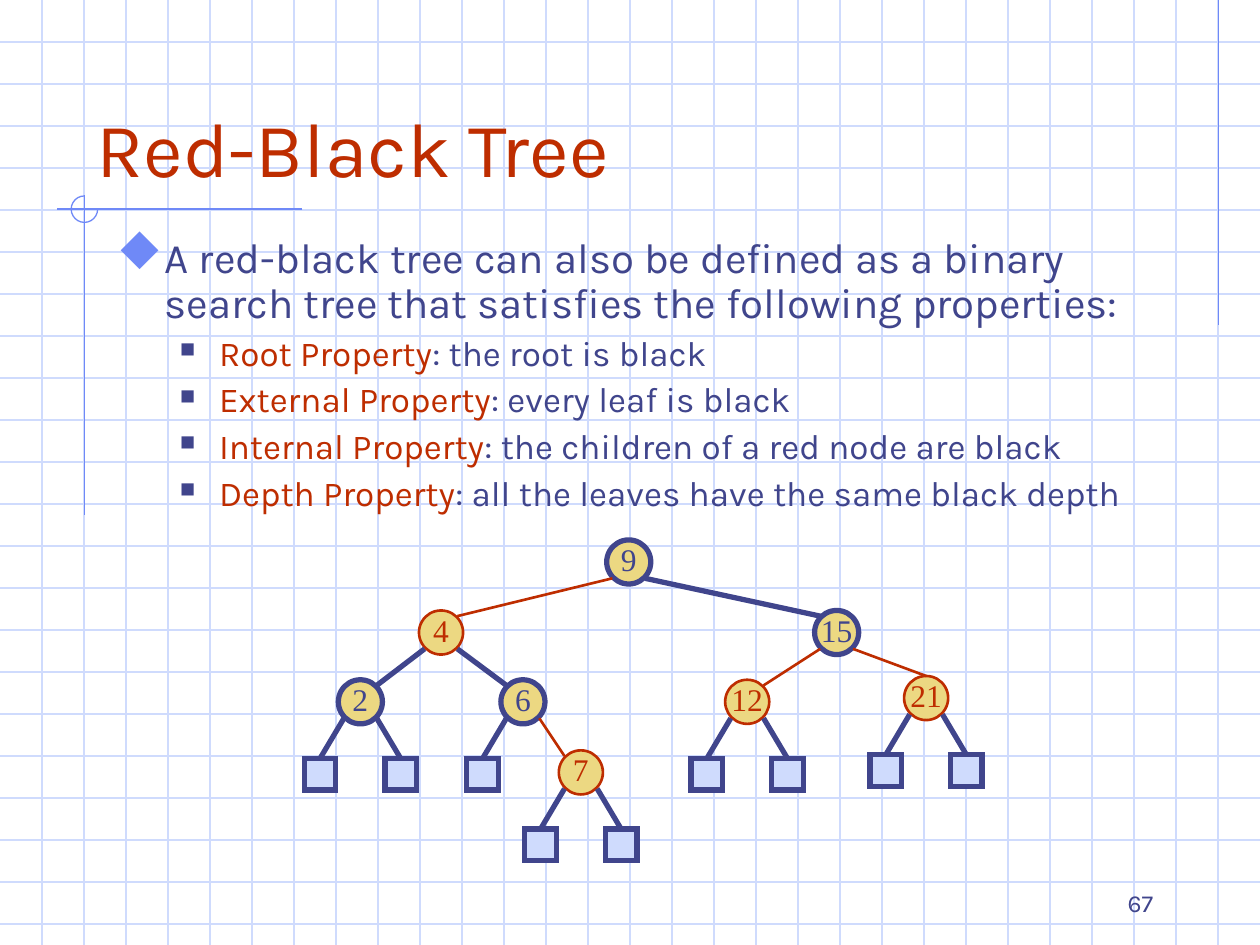
import dataclasses
import typing

import pptx
import pptx.dml.color
import pptx.enum.shapes
import pptx.enum.text
import pptx.oxml.ns
import pptx.util
from pptx.util import Inches

RGBColor = pptx.dml.color.RGBColor
Anchor = pptx.enum.text.MSO_ANCHOR
Align = pptx.enum.text.PP_ALIGN
Preset = pptx.enum.shapes.MSO_SHAPE
qn = pptx.oxml.ns.qn

INK = RGBColor(0x40, 0x45, 0x8C)
RED = RGBColor(0xBE, 0x2D, 0x00)
BLUE = RGBColor(0x6F, 0x89, 0xF7)
PALE = RGBColor(0xCF, 0xDB, 0xFD)
GOLD = RGBColor(0xEC, 0xD8, 0x82)

SLIDE_WIDTH, SLIDE_HEIGHT = 10, 7.5
GRID_STEP = 1 / 3
NODE_SIZE = 0.35
LEAF_SIZE = 0.25
LEAF_SPREAD = 0.32
LEAF_DROP = 0.45
RIM = 0.13
WINGDINGS_DIAMOND = "u"
WINGDINGS_SQUARE = "n"

PROPERTIES = [
    ("Root Property", ": the root is black"),
    ("External Property", ": every leaf is black"),
    ("Internal Property", ": the children of a red node are black"),
    ("Depth Property", ": all the leaves have the same black depth"),
]


@dataclasses.dataclass
class Node:
    key: str
    x: float
    y: float
    color: RGBColor
    left: typing.Optional["Node"] = None
    right: typing.Optional["Node"] = None
    joined_on_top: bool = False


def build_tree():
    two = Node("2", 2.86, 5.57, INK)
    seven = Node("7", 4.61, 6.13, RED)
    six = Node("6", 4.15, 5.57, INK, right=seven)
    four = Node("4", 3.5, 5.02, RED, two, six)
    twelve = Node("12", 5.93, 5.57, RED)
    twenty_one = Node("21", 7.35, 5.54, RED, joined_on_top=True)
    fifteen = Node("15", 6.64, 5.02, INK, twelve, twenty_one)
    return Node("9", 4.99, 4.46, INK, four, fifteen)


def line_weight(color):
    return 1.5 if color == RED else 3


def add_child(parent, tag, **attributes):
    child = parent.makeelement(qn(tag), attributes)
    parent.append(child)
    return child


def add_line(slide, start, end, color, weight=0.75):
    line = slide.shapes.add_connector(
        pptx.enum.shapes.MSO_CONNECTOR.STRAIGHT,
        *(Inches(value) for value in (*start, *end)))
    line.line.color.rgb = color
    line.line.width = pptx.util.Pt(weight)
    add_child(line._element.spPr, "a:effectLst")
    return line


def add_outlined(slide, preset, x, y, size, color, weight, fill=None):
    outlined = slide.shapes.add_shape(
        preset, Inches(x - size / 2), Inches(y - size / 2),
        Inches(size), Inches(size))
    outlined.shadow.inherit = False
    if fill is None:
        outlined.fill.background()
    else:
        outlined.fill.solid()
        outlined.fill.fore_color.rgb = fill
    outlined.line.color.rgb = color
    outlined.line.width = pptx.util.Pt(weight)
    add_child(outlined.line._get_or_add_ln(), "a:miter", lim="800000")
    return outlined


def add_frame(slide, left, top, width, height, anchor=Anchor.TOP):
    box = slide.shapes.add_textbox(
        Inches(left), Inches(top), Inches(width), Inches(height))
    frame = box.text_frame
    frame.word_wrap = True
    frame.vertical_anchor = anchor
    return frame


def write(paragraph, text, size, color=INK, font="Karla", align=None):
    if align is not None:
        paragraph.alignment = align
    run = paragraph.add_run()
    run.text = text
    run.font.size = pptx.util.Pt(size)
    run.font.name = font
    run.font.color.rgb = color


def set_bullet(paragraph, mark, color, percent, margin, hanging, level=0):
    paragraph.level = level
    paragraph.line_spacing = 0.9
    properties = paragraph._p.get_or_add_pPr()
    properties.set("marL", str(Inches(margin)))
    properties.set("indent", str(-Inches(hanging)))
    tint = add_child(properties, "a:buClr")
    add_child(tint, "a:srgbClr", val=str(color))
    add_child(properties, "a:buSzPct", val=str(percent * 1000))
    add_child(properties, "a:buFont", typeface="Wingdings", charset="2")
    add_child(properties, "a:buChar", char=mark)


def draw_backdrop(slide):
    for row in range(1, 23):
        y = row * GRID_STEP
        add_line(slide, (0, y), (SLIDE_WIDTH, y), PALE)
    for column in range(1, 30):
        x = column * GRID_STEP
        add_line(slide, (x, 0), (x, SLIDE_HEIGHT), PALE)
    add_line(slide, (9.67, 0), (9.67, 2.58), BLUE)
    add_line(slide, (2.4, 1.66), (0.45, 1.66), BLUE)
    add_line(slide, (0.67, 1.55), (0.67, 4.09), BLUE)
    ring = add_outlined(slide, Preset.ARC, 0.67, 1.66, 0.21, BLUE, 0.75)
    degree = 60000 / 100000
    ring.adjustments[0] = 0
    ring.adjustments[1] = 270 * degree


def draw_properties(slide):
    frame = add_frame(slide, 0.83, 1.83, 8.58, 2.42)
    intro = frame.paragraphs[0]
    set_bullet(intro, WINGDINGS_DIAMOND, BLUE, 110, 0.38, 0.38)
    write(intro, "A red-black tree can also be defined as a binary search "
          "tree that satisfies the following properties:", size=24)
    for name, rule in PROPERTIES:
        item = frame.add_paragraph()
        set_bullet(item, WINGDINGS_SQUARE, INK, 60, 0.81, 0.31, level=1)
        item.space_before = pptx.util.Pt(5)
        write(item, name, size=20, color=RED)
        write(item, rule, size=20)


def draw_leaf(slide, node, side):
    x = node.x + side * LEAF_SPREAD
    top = node.y + LEAF_DROP
    leaf = add_outlined(slide, Preset.RECTANGLE, x, top + LEAF_SIZE / 2,
                        LEAF_SIZE, INK, 3, PALE)
    edge = add_line(slide, (node.x + side * RIM, node.y + RIM), (x, top), INK, 3)
    edge.end_connect(leaf, 0)


def draw_node(slide, node):
    circle = add_outlined(slide, Preset.OVAL, node.x, node.y, NODE_SIZE,
                          node.color, line_weight(node.color), GOLD)
    frame = circle.text_frame
    frame.margin_left = frame.margin_right = frame.margin_top = 0
    frame.margin_bottom = Inches(0.05)
    frame.word_wrap = False
    frame.vertical_anchor = Anchor.MIDDLE
    write(frame.paragraphs[0], node.key, size=18, color=node.color,
          font="Times New Roman", align=Align.CENTER)
    for side, child in ((-1, node.left), (1, node.right)):
        if child is None:
            draw_leaf(slide, node, side)
            continue
        child_circle = draw_node(slide, child)
        edge = add_line(slide, (node.x + side * RIM, node.y + RIM),
                        (child.x - side * RIM, child.y - RIM),
                        child.color, line_weight(child.color))
        if child.joined_on_top:
            edge.end_connect(child_circle, 0)
    return circle


def main():
    deck = pptx.Presentation()
    deck.slide_width = Inches(SLIDE_WIDTH)
    deck.slide_height = Inches(SLIDE_HEIGHT)
    slide = deck.slides.add_slide(deck.slide_layouts[6])
    draw_backdrop(slide)
    title = add_frame(slide, 0.67, 0.33, 8.5, 1.25, Anchor.BOTTOM)
    write(title.paragraphs[0], "Red-Black Tree", size=44, color=RED)
    draw_properties(slide)
    draw_node(slide, build_tree())
    page = add_frame(slide, 7.17, 6.83, 2.08, 0.5, Anchor.BOTTOM)
    write(page.paragraphs[0], "67", size=14, align=Align.RIGHT)
    deck.save("out.pptx")


if __name__ == "__main__":
    main()
